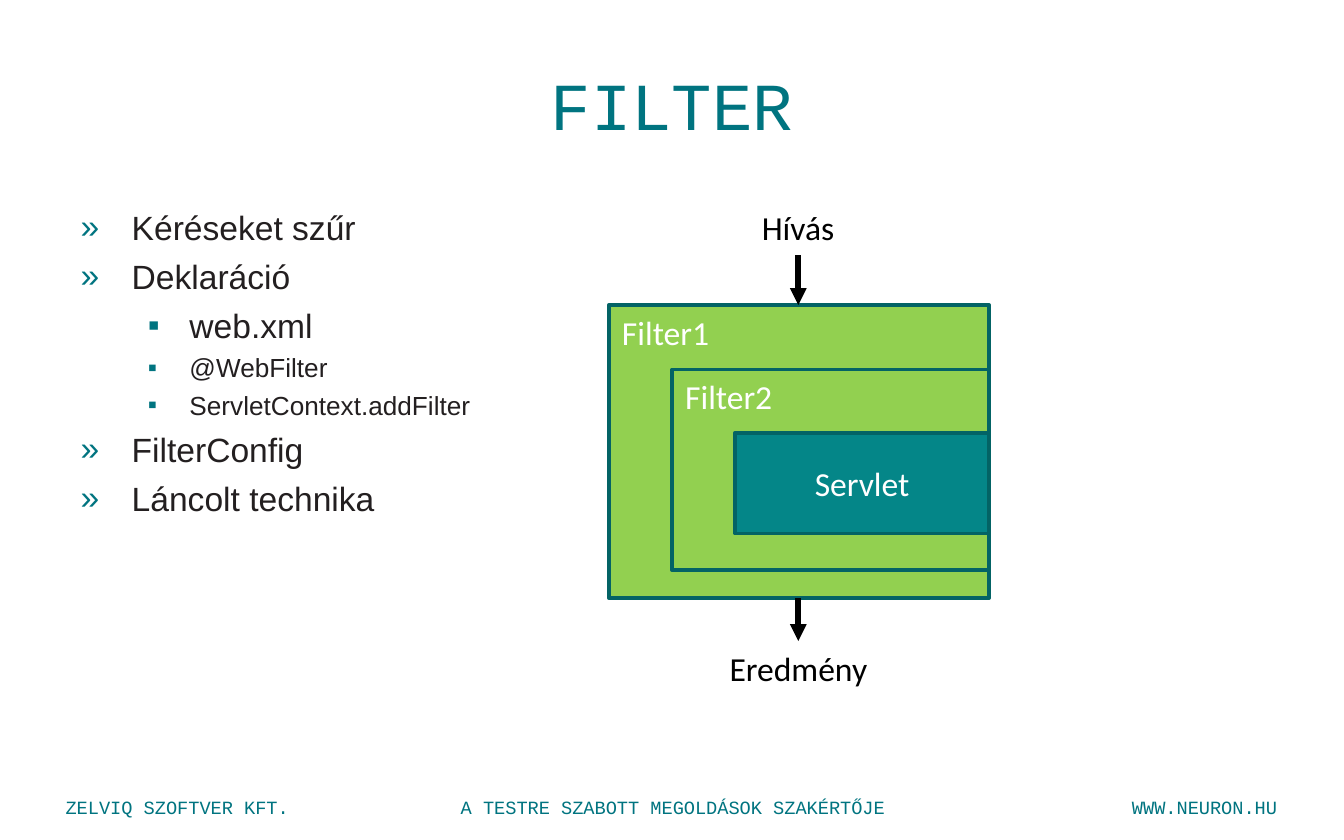
from lxml.etree import SubElement
from pptx import Presentation
from pptx.dml.color import RGBColor
from pptx.enum.shapes import MSO_CONNECTOR as Connector, MSO_SHAPE as Shape
from pptx.enum.text import MSO_ANCHOR as Anchor, MSO_AUTO_SIZE as AutoSize, PP_ALIGN as Align
from pptx.oxml.ns import qn
from pptx.util import Emu, Pt

PX = 9144  # 100 px to the inch
TEAL, INK, BLACK, WHITE = "007480", "231F20", "000000", "FFFFFF"
GREEN, SERVLET_FILL, BORDER = "92D050", "048688", "036365"
MONO, SANS, LABEL = "Courier New", "Arial", "Calibri"


def px(*lengths):
    return [Emu(length * PX) for length in lengths]


def color(hex_string):
    return RGBColor.from_string(hex_string)


def add_span(para, text, size, font, hex_string):
    span = para.add_run()
    span.text = text
    span.font.size = Pt(size)
    span.font.name = font
    span.font.color.rgb = color(hex_string)


def place(shape, *bounds):
    shape.left, shape.top, shape.width, shape.height = px(*bounds)


def add_title(page, text):
    title = page.shapes.title
    place(title, 50, 25, 900, 104)
    title.text_frame.auto_size = AutoSize.NONE
    title.text_frame.vertical_anchor = Anchor.MIDDLE
    para = title.text_frame.paragraphs[0]
    para.alignment = Align.CENTER
    add_span(para, text, 36, MONO, TEAL)


def add_bullet(para, char, margin, hang):
    props = para._p.get_or_add_pPr()
    props.set("marL", str(margin * PX))
    props.set("indent", str(-hang * PX))
    bullet_color = SubElement(props, qn("a:buClr"))
    SubElement(bullet_color, qn("a:srgbClr"), val=TEAL)
    SubElement(props, qn("a:buFont"), typeface=SANS)
    SubElement(props, qn("a:buChar"), char=char)


def add_list(page, items):
    body = page.placeholders[1]
    place(body, 50, 146, 900, 412)
    frame = body.text_frame
    frame.auto_size = AutoSize.NONE
    frame.vertical_anchor = Anchor.TOP
    frame.margin_top = px(8)[0]
    for index, (text, level, size) in enumerate(items):
        para = frame.add_paragraph() if index else frame.paragraphs[0]
        para.level = level
        add_bullet(para, *(("»", 38, 38), ("▪", 81, 31))[level])
        para.space_before = Pt(size / 4 if index else 0)
        add_span(para, text, size, SANS, INK)


def add_text(page, bounds, text, size, font, hex_string, align, wrap=True):
    box = page.shapes.add_textbox(*px(*bounds))
    box.text_frame.word_wrap = wrap
    para = box.text_frame.paragraphs[0]
    para.alignment = align
    add_span(para, text, size, font, hex_string)


def add_block(page, bounds, text, fill, align=Align.LEFT, anchor=Anchor.TOP):
    block = page.shapes.add_shape(Shape.RECTANGLE, *px(*bounds))
    block.shadow.inherit = False
    block.fill.solid()
    block.fill.fore_color.rgb = color(fill)
    block.line.color.rgb = color(BORDER)
    block.line.width = Pt(2)
    block.text_frame.vertical_anchor = anchor
    para = block.text_frame.paragraphs[0]
    para.alignment = align
    add_span(para, text, 18, LABEL, WHITE)


def add_arrow(page, x, top, bottom):
    arrow = page.shapes.add_connector(Connector.STRAIGHT, *px(x, top, x, bottom))
    arrow.line.color.rgb = color(BLACK)
    arrow.line.width = Pt(3)
    props = arrow._element.spPr
    SubElement(props.find(qn("a:ln")), qn("a:tailEnd"), type="triangle")
    SubElement(props, qn("a:effectLst"))


def main():
    deck = Presentation()
    deck.slide_width, deck.slide_height = px(1000, 625)
    page = deck.slides.add_slide(deck.slide_layouts[1])

    # Footer
    for left, width, text, align in (
        (39, 236, "ZELVIQ SZOFTVER KFT.", Align.LEFT),
        (724, 236, "WWW.NEURON.HU", Align.RIGHT),
        (331, 339, "A TESTRE SZABOTT MEGOLDÁSOK SZAKÉRTŐJE", Align.CENTER),
    ):
        add_text(page, (left, 587, width, 27), text, 10, MONO, TEAL, align)

    # Title and list
    add_title(page, "FILTER")
    add_list(page, (
        ("Kéréseket szűr", 0, 18),
        ("Deklaráció", 0, 18),
        ("web.xml", 1, 18),
        ("@WebFilter", 1, 14),
        ("ServletContext.addFilter", 1, 14),
        ("FilterConfig", 0, 18),
        ("Láncolt technika", 0, 18),
    ))

    # Nested filters around the servlet, sharing one right edge
    left, right, step = 453, 736, 47
    add_block(page, (left, 227, right - left, 218), "Filter1", GREEN)
    left += step
    add_block(page, (left, 275, right - left, 149), "Filter2", GREEN)
    left += step
    add_block(page, (left, 322, right - left, 75), "Servlet", SERVLET_FILL,
              Align.CENTER, Anchor.MIDDLE)

    # Call and result
    for top, bottom in ((190, 227), (445, 477)):
        add_arrow(page, 594, top, bottom)
    for bounds, text in (((557, 149, 75, 40), "Hívás"),
                         ((533, 477, 124, 40), "Eredmény")):
        add_text(page, bounds, text, 18, LABEL, BLACK, Align.LEFT, wrap=False)

    deck.save("out.pptx")


if __name__ == "__main__":
    main()
